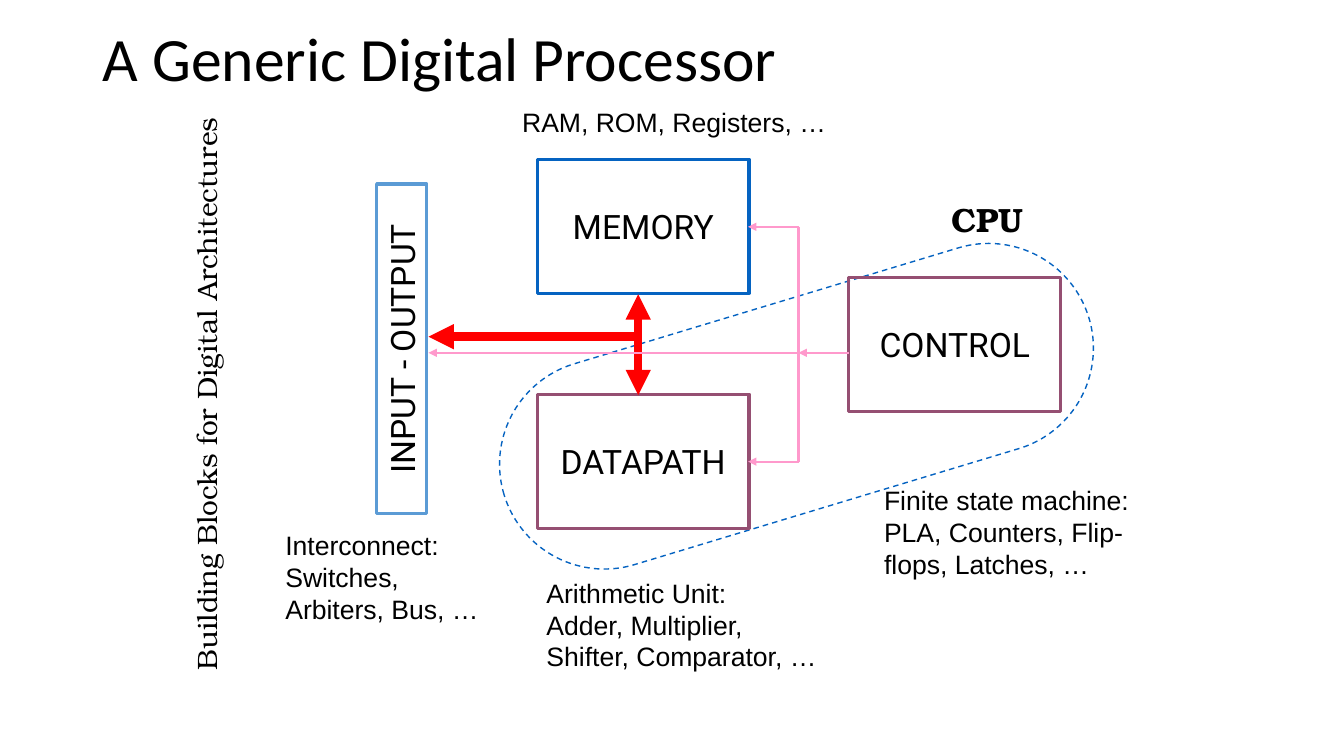
from pptx import Presentation
from pptx.dml.color import RGBColor
from pptx.enum.dml import MSO_LINE
from pptx.enum.shapes import MSO_CONNECTOR, MSO_SHAPE
from pptx.enum.text import MSO_ANCHOR, PP_ALIGN
from pptx.oxml.ns import qn
from pptx.util import Inches, Pt
from lxml import etree

BLUE, PLUM, SKY = "0563C1", "954F72", "5B9BD5"
RED, PINK, BLACK = "FF0000", "FF99CC", "000000"
SERIF = "TeX Gyre Bonum"


def paint(target, color):
    target.rgb = RGBColor.from_string(color)


def style(frame, font, size, bold=False):
    for para in frame.paragraphs:
        for run in para.runs:
            run.font.name = font
            run.font.size = Pt(size)
            run.font.bold = bold
            paint(run.font.color, BLACK)


def add_title(slide, text):
    title = slide.shapes.title
    title.left, title.top = Inches(0.92), Inches(0.22)
    title.width, title.height = Inches(11.5), Inches(0.78)
    frame = title.text_frame
    frame.text = text
    frame.vertical_anchor = MSO_ANCHOR.MIDDLE
    frame.paragraphs[0].alignment = PP_ALIGN.LEFT
    frame.paragraphs[0].line_spacing = 0.9
    style(frame, "Calibri", 44)


def add_outline(slide, kind, box, color, width):
    shape = slide.shapes.add_shape(kind, *map(Inches, box))
    shape.shadow.inherit = False
    shape.fill.background()
    paint(shape.line.color, color)
    shape.line.width = Pt(width)
    return shape


def add_block(slide, text, box, color, turn=0):
    block = add_outline(slide, MSO_SHAPE.RECTANGLE, box, color, 2.25)
    block.rotation = turn
    frame = block.text_frame
    frame.text = text
    frame.vertical_anchor = MSO_ANCHOR.MIDDLE
    frame.paragraphs[0].alignment = PP_ALIGN.CENTER
    style(frame, "Roboto", 24)


def add_zone(slide):
    """Dashed capsule around the CPU parts."""
    zone = add_outline(slide, MSO_SHAPE.ROUNDED_RECTANGLE,
                       (4.87, 2.99, 6.06, 2.08), BLUE, 1)
    zone.adjustments[0] = 0.5
    zone.rotation = 343.2
    zone.line.dash_style = MSO_LINE.DASH


def add_bus(slide, color, width, wires):
    """Group of wires, each given as start, end and its arrow ends."""
    group = slide.shapes.add_group_shape()
    for start, end, tips in wires:
        wire = group.shapes.add_connector(
            MSO_CONNECTOR.STRAIGHT, *map(Inches, start + end))
        paint(wire.line.color, color)
        wire.line.width = Pt(width)
        line = wire.line._get_or_add_ln()
        for tip in tips:
            etree.SubElement(line, qn(f"a:{tip}"), type="triangle")
        etree.SubElement(wire._element.spPr, qn("a:effectLst"))


def add_label(slide, text, box, font="Arial", size=19, bold=False,
              wrap=True, inset=True, turn=0):
    label = slide.shapes.add_textbox(*map(Inches, box))
    label.rotation = turn
    frame = label.text_frame
    frame.word_wrap = wrap
    if not inset:
        frame.margin_left = frame.margin_right = 0
        frame.margin_top = frame.margin_bottom = 0
    frame.text = text
    style(frame, font, size, bold)


def main():
    deck = Presentation()
    deck.slide_width, deck.slide_height = Inches(13.33), Inches(7.5)
    slide = deck.slides.add_slide(deck.slide_layouts[5])
    add_title(slide, "A Generic Digital Processor")

    add_zone(slide)
    for text, left, top, color in (("MEMORY", 5.33, 1.58, BLUE),
                                   ("DATAPATH", 5.33, 3.91, PLUM),
                                   ("CONTROL", 8.42, 2.75, PLUM)):
        add_block(slide, text, (left, top, 2.1, 1.33), color)
    add_block(slide, "INPUT - OUTPUT", (2.35, 3.21, 3.27, 0.5), SKY, 270)

    head, tail = "headEnd", "tailEnd"
    add_bus(slide, RED, 6, (
        ((4.25, 3.34), (6.33, 3.34), [head]),
        ((6.33, 2.92), (6.33, 3.92), [head, tail])))
    add_bus(slide, PINK, 1.5, (
        ((7.92, 2.25), (7.42, 2.25), [tail]),
        ((7.92, 2.25), (7.92, 4.58), []),
        ((7.92, 4.58), (7.42, 4.58), [tail]),
        ((7.92, 3.5), (4.25, 3.5), [tail]),
        ((8.42, 3.5), (7.92, 3.5), [tail])))

    add_label(slide, "RAM, ROM, Registers, …", (5.08, 1, 3.22, 0.42),
              wrap=False)
    add_label(slide,
              "Finite state machine: PLA, Counters, Flip-flops, Latches, …",
              (8.67, 4.75, 2.67, 1.06))
    add_label(slide, "Interconnect:\nSwitches, Arbiters, Bus, …",
              (2.83, 5.25, 2.08, 0.96), inset=False)
    add_label(slide,
              "Arithmetic Unit:\nAdder, Multiplier, Shifter, Comparator, …",
              (5.42, 5.72, 2.75, 0.96), inset=False)
    add_label(slide, "Building Blocks for Digital Architectures",
              (-0.82, 3.66, 5.74, 0.44), SERIF, 20, wrap=False, turn=270)
    add_label(slide, "CPU", (9.34, 1.92, 0.91, 0.5), SERIF, 24, bold=True,
              wrap=False)
    deck.save("out.pptx")


if __name__ == "__main__":
    main()
